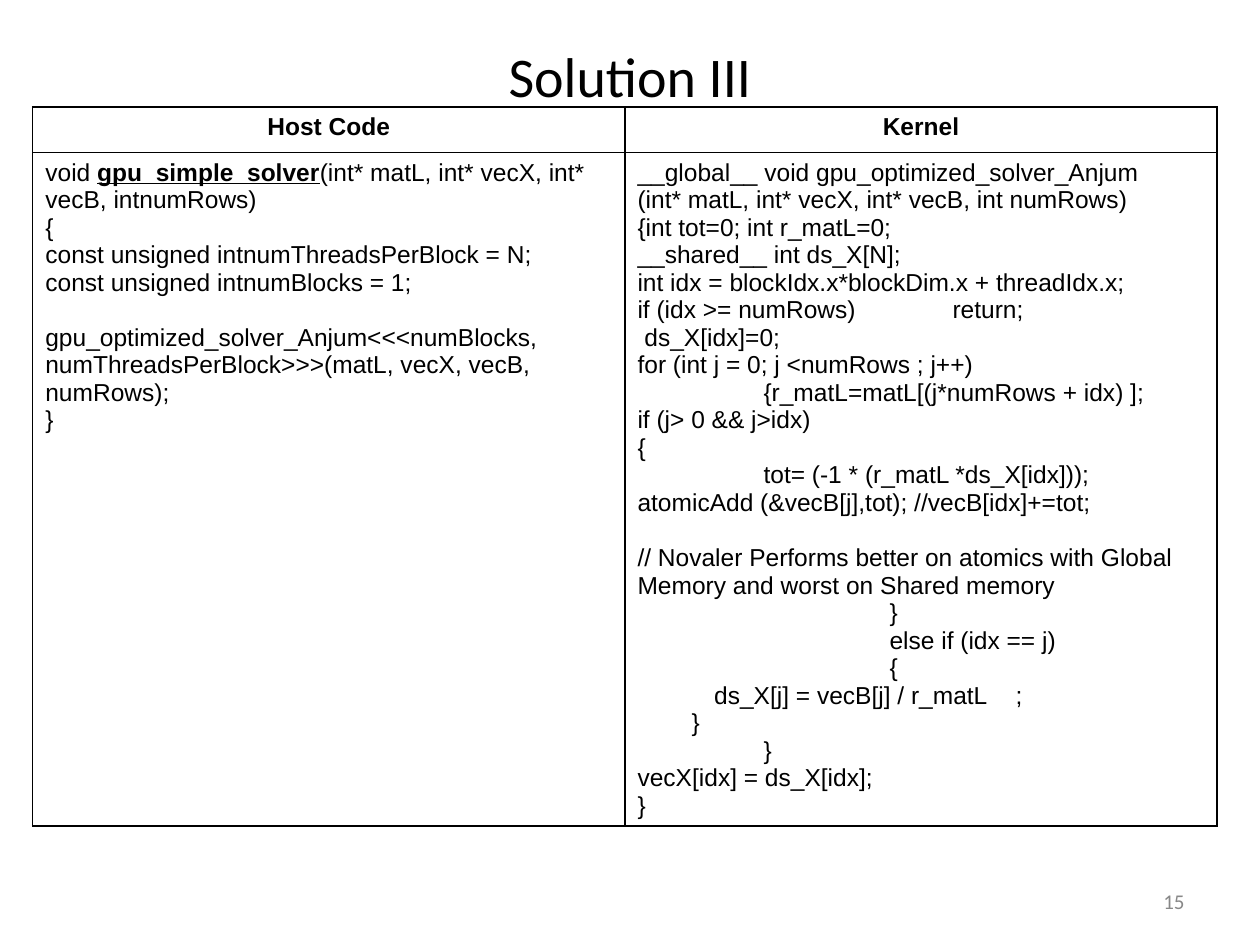
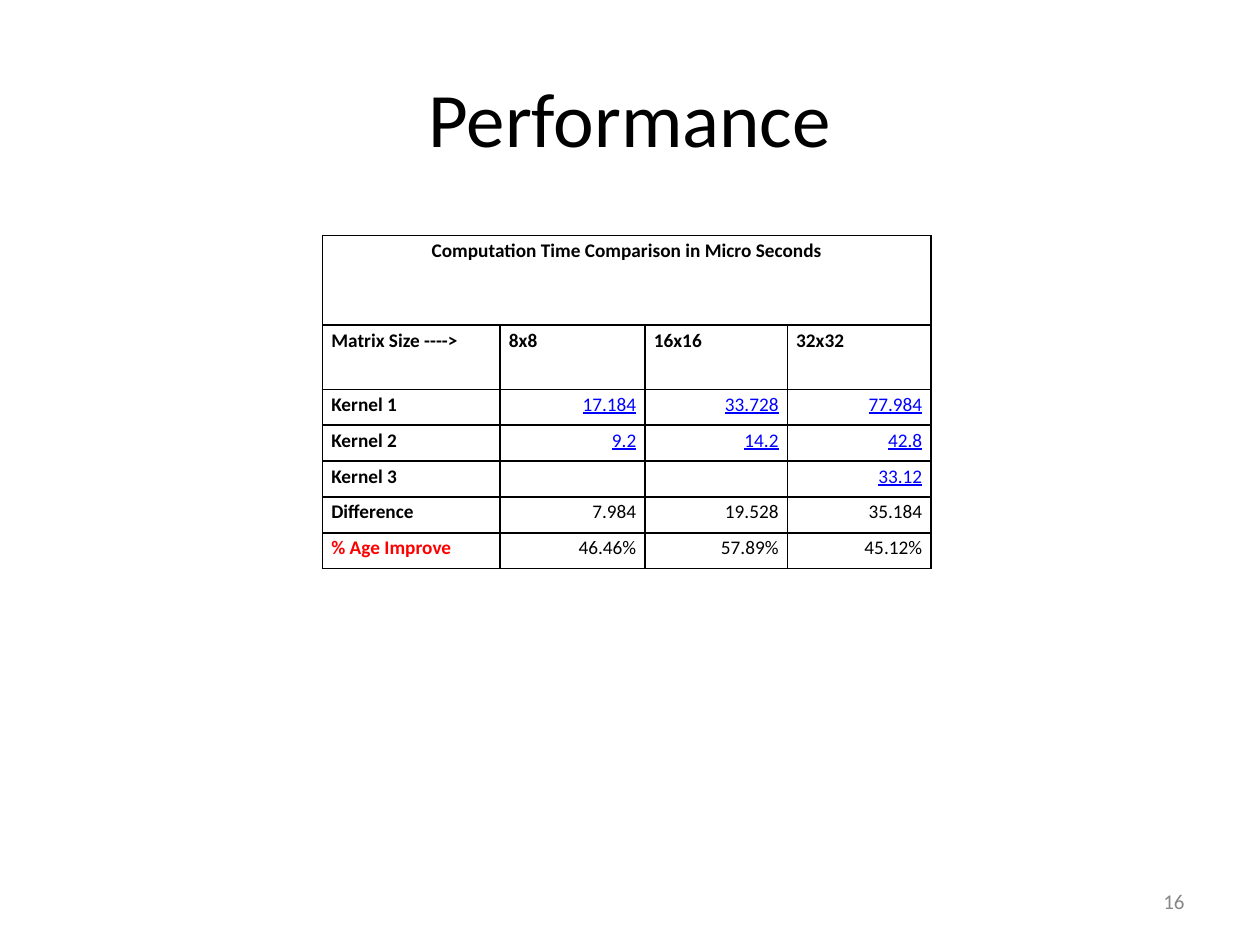
from dataclasses import dataclass

from lxml.etree import SubElement
from pptx import Presentation
from pptx.dml.color import RGBColor
from pptx.enum.text import MSO_ANCHOR as Anchor, MSO_AUTO_SIZE as AutoSize, PP_ALIGN as Align
from pptx.oxml.ns import qn
from pptx.util import Inches, Pt


@dataclass(frozen=True)
class Theme:
    black: str = "000000"
    grey: str = "888888"
    blue: str = "0000FF"
    red: str = "FF0000"
    heading_font: str = "Calibri"
    code_font: str = "Arial"
    title_size: int = 44
    small_title_size: int = 32
    code_size: int = 14
    data_size: int = 11
    footer_size: int = 12
    border_width: int = 1
    code_line: float = 15.75


@dataclass(frozen=True)
class Style:
    font: str
    size: int
    color: str = "000000"
    bold: bool = False
    underline: bool = False


@dataclass(frozen=True)
class Line:
    """One paragraph of code with an optional gap above and left indent."""
    text: str
    gap: float = 0
    indent: float = 0


THEME = Theme()
COLUMNS, ROWS = 20, 15
SLIDE_WIDTH, SLIDE_HEIGHT = Inches(10), Inches(7.5)


def across(columns):
    return round(SLIDE_WIDTH * columns / COLUMNS)


def down(rows):
    return round(SLIDE_HEIGHT * rows / ROWS)


class Deck:
    def __init__(self, theme):
        self.theme = theme
        self.presentation = Presentation()
        self.presentation.slide_width = SLIDE_WIDTH
        self.presentation.slide_height = SLIDE_HEIGHT
        self.slide = None

    def add_slide(self, title, number, title_size, title_rows):
        layout = self.presentation.slide_layouts[5]
        self.slide = self.presentation.slides.add_slide(layout)
        self.title(title, title_size, title_rows)
        self.page_number(number)

    def run(self, paragraph, text, style):
        run = paragraph.add_run()
        run.text = text
        font = run.font
        font.name, font.size = style.font, Pt(style.size)
        font.bold, font.underline = style.bold, style.underline
        font.color.rgb = RGBColor.from_string(style.color)

    def frame(self, shape, box, text, style, align):
        left, top, width, height = box
        shape.left, shape.top = across(left), down(top)
        shape.width, shape.height = across(width), down(height)
        frame = shape.text_frame
        frame.word_wrap, frame.auto_size = True, AutoSize.NONE
        frame.vertical_anchor = Anchor.MIDDLE
        paragraph = frame.paragraphs[0]
        paragraph.alignment = align
        self.run(paragraph, text, style)

    def title(self, text, size, rows):
        style = Style(self.theme.heading_font, size, self.theme.black)
        self.frame(self.slide.shapes.title, (1, 0.6, 18, rows), text, style, Align.CENTER)

    def page_number(self, number):
        shape = self.slide.shapes.add_textbox(0, 0, 0, 0)
        style = Style(self.theme.heading_font, self.theme.footer_size, self.theme.grey)
        self.frame(shape, (14.34, 13.9, 4.66, 0.8), str(number), style, Align.RIGHT)

    def table(self, left, top, widths, heights):
        table = self.slide.shapes.add_table(
            len(heights), len(widths), across(left), down(top),
            across(sum(widths)), down(sum(heights))).table
        table.first_row = table.horz_banding = False
        for column, width in zip(table.columns, widths):
            column.width = across(width)
        for row, height in zip(table.rows, heights):
            row.height = down(height)
        for cell in table.iter_cells():
            self.borders(cell)
            cell.fill.background()
        return table

    def borders(self, cell):
        properties = cell._tc.get_or_add_tcPr()
        for side in ("a:lnL", "a:lnR", "a:lnT", "a:lnB"):
            line = SubElement(properties, qn(side), w=str(Pt(self.theme.border_width)))
            fill = SubElement(line, qn("a:solidFill"))
            SubElement(fill, qn("a:srgbClr"), val=self.theme.black)

    def code(self, cell, lines, style):
        for index, line in enumerate(lines):
            frame = cell.text_frame
            paragraph = frame.add_paragraph() if index else frame.paragraphs[0]
            if line.gap:
                paragraph.space_before = Pt(line.gap)
            if line.indent:
                paragraph._p.get_or_add_pPr().set("marL", str(Inches(line.indent)))
            # Text between asterisk pairs is emphasised
            for part, text in enumerate(line.text.split("**")):
                strong = part % 2 == 1
                self.run(paragraph, text, Style(
                    style.font, style.size, style.color, strong, strong))

    def value(self, cell, text, style, align):
        cell.margin_left = cell.margin_right = Inches(0.07)
        cell.margin_top = cell.margin_bottom = 0
        paragraph = cell.text_frame.paragraphs[0]
        paragraph.alignment, paragraph.line_spacing = align, 1.15
        if text:
            self.run(paragraph, text, style)
        else:
            SubElement(paragraph._p, qn("a:endParaRPr"), sz=str(style.size * 100))


HOST_CODE = [
    Line("void **gpu_simple_solver**(int* matL, int* vecX, int* vecB, intnumRows)"),
    Line("{"),
    Line("const unsigned intnumThreadsPerBlock = N;"),
    Line("const unsigned intnumBlocks = 1;"),
    Line("gpu_optimized_solver_Anjum<<<numBlocks, numThreadsPerBlock>>>"
         "(matL, vecX, vecB, numRows);", gap=THEME.code_line),
    Line("}"),
]

KERNEL_CODE = [
    Line("__global__ void gpu_optimized_solver_Anjum"),
    Line("(int* matL, int* vecX, int* vecB, int numRows)"),
    Line("{int tot=0; int r_matL=0;"),
    Line("__shared__ int ds_X[N];"),
    Line("int idx = blockIdx.x*blockDim.x + threadIdx.x;"),
    Line("if (idx >= numRows)\t\treturn;"),
    Line(" ds_X[idx]=0;"),
    Line("for (int j = 0; j <numRows ; j++)"),
    Line("{r_matL=matL[(j*numRows + idx) ];", indent=1),
    Line("if (j> 0 && j>idx)"),
    Line("{"),
    Line("tot= (-1 * (r_matL *ds_X[idx]));", indent=1),
    Line("atomicAdd (&vecB[j],tot); //vecB[idx]+=tot;"),
    Line("// Novaler Performs better on atomics with Global Memory "
         "and worst on Shared memory", gap=THEME.code_line),
    Line("}", indent=2),
    Line("else if (idx == j)", indent=2),
    Line("{", indent=2),
    Line("\t  ds_X[j] = vecB[j] / r_matL\t;"),
    Line("}", indent=0.43),
    Line("}", indent=1),
    Line("vecX[idx] = ds_X[idx];"),
    Line("}"),
]

TIMES = [
    ("Kernel 1", "17.184", "33.728", "77.984"),
    ("Kernel 2", "9.2", "14.2", "42.8"),
    ("Kernel 3", "", "", "33.12"),
    ("Difference", "7.984", "19.528", "35.184"),
    ("% Age Improve", "46.46%", "57.89%", "45.12%"),
]


def solution_slide(deck):
    theme = deck.theme
    deck.add_slide("Solution III", 15, theme.small_title_size, 1.18)
    table = deck.table(0.52, 1.7, [9.4] * 2, [0.72, 10.68])
    heading = Style(theme.code_font, theme.code_size, theme.black, bold=True)
    body = Style(theme.code_font, theme.code_size, theme.black)
    parts = (("Host Code", HOST_CODE), ("Kernel", KERNEL_CODE))
    for column, (name, lines) in enumerate(parts):
        paragraph = table.cell(0, column).text_frame.paragraphs[0]
        paragraph.alignment = Align.CENTER
        deck.run(paragraph, name, heading)
        deck.code(table.cell(1, column), lines, body)


def performance_slide(deck):
    theme = deck.theme
    font, size = theme.heading_font, theme.data_size
    label = Style(font, size, theme.black, bold=True)
    warning = Style(font, size, theme.red, bold=True)
    linked = Style(font, size, theme.blue, underline=True)
    plain = Style(font, size, theme.black)

    deck.add_slide("Performance", 16, theme.title_size, 2.5)
    table = deck.table(5.12, 3.74, [2.82, 2.3, 2.26, 2.28],
                       [1.42, 1.02] + [0.57] * len(TIMES))

    # Heading rows
    table.cell(0, 0).merge(table.cell(0, 3))
    deck.value(table.cell(0, 0), "Computation Time Comparison in Micro Seconds",
               label, Align.CENTER)
    for column, text in enumerate(("Matrix Size ---->", "8x8", "16x16", "32x32")):
        deck.value(table.cell(1, column), text, label, Align.LEFT)

    # Measured times, then the figures derived from them
    for row, (name, *values) in enumerate(TIMES, start=2):
        name_style = warning if name.startswith("%") else label
        value_style = linked if name.startswith("Kernel") else plain
        deck.value(table.cell(row, 0), name, name_style, Align.LEFT)
        for column, text in enumerate(values, start=1):
            deck.value(table.cell(row, column), text, value_style, Align.RIGHT)


def main():
    deck = Deck(THEME)
    solution_slide(deck)
    performance_slide(deck)
    deck.presentation.save("out.pptx")


if __name__ == "__main__":
    main()
